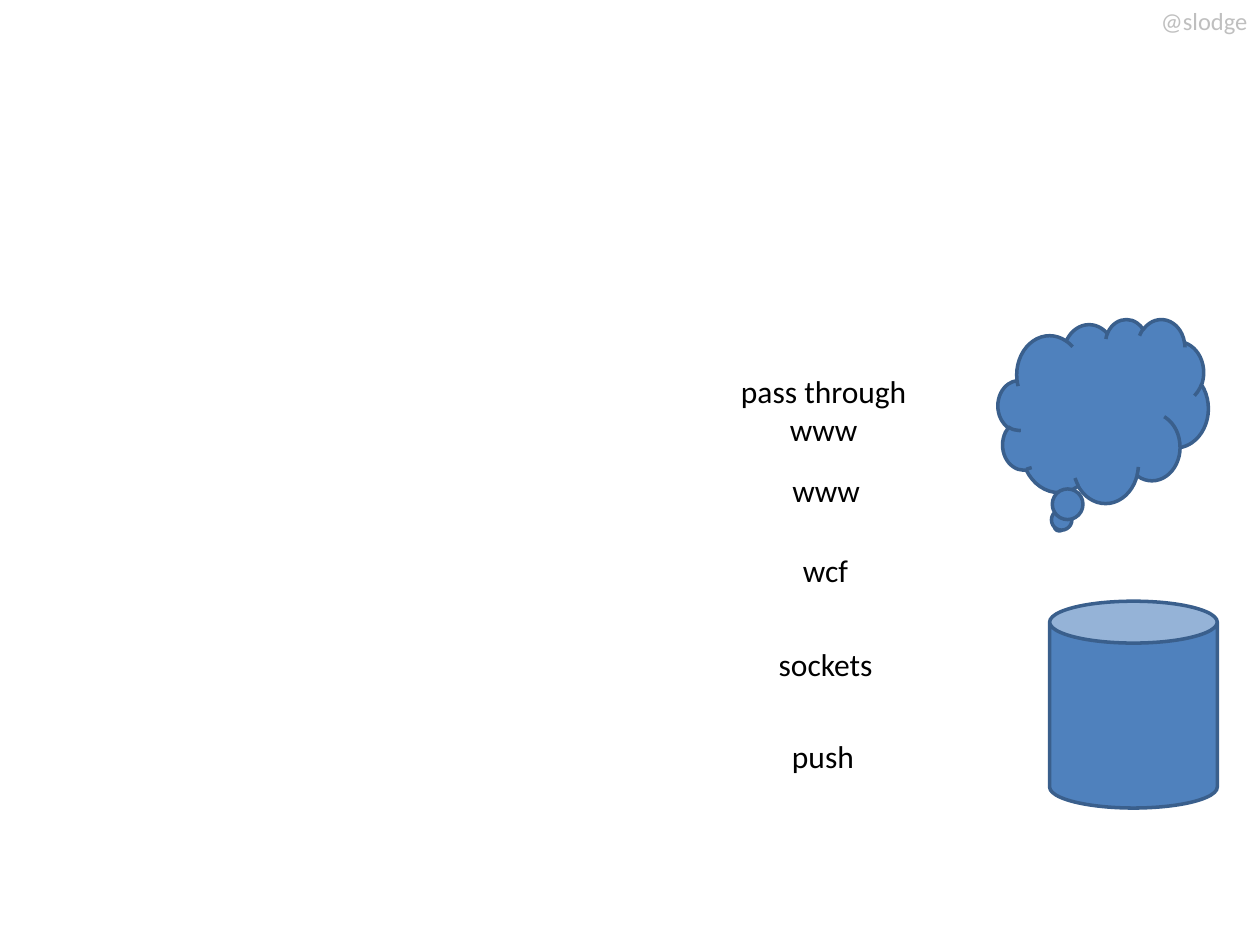
from dataclasses import dataclass

import pptx
import pptx.dml.color
import pptx.enum.shapes
import pptx.enum.text
import pptx.util
from pptx.util import Cm

ALIGN = pptx.enum.text.PP_ALIGN
ANCHOR = pptx.enum.text.MSO_ANCHOR
SHAPE = pptx.enum.shapes.MSO_SHAPE


@dataclass(frozen=True)
class Theme:
    font: str = "Calibri"
    text: str = "000000"
    muted: str = "BFBFBF"
    fill: str = "4F81BD"
    line: str = "3A5F8C"
    label_size: int = 18
    handle_size: int = 14
    line_width: int = 2


@dataclass(frozen=True)
class Box:
    """Position and size in centimetres."""
    left: float
    top: float
    width: float
    height: float

    def emu(self) -> tuple:
        return Cm(self.left), Cm(self.top), Cm(self.width), Cm(self.height)


@dataclass(frozen=True)
class Label:
    text: str
    box: Box
    size: int
    color: str
    align: ALIGN = ALIGN.CENTER
    anchor: ANCHOR = ANCHOR.MIDDLE


@dataclass(frozen=True)
class Symbol:
    kind: SHAPE
    box: Box


THEME = Theme()


def service(text: str, left: float, top: float, width: float,
            height: float = 1.02) -> Label:
    return Label(text, Box(left, top, width, height),
                 THEME.label_size, THEME.text)


HANDLE = Label("@slodge", Box(23.11, 0, 2.29, 0.86), THEME.handle_size,
               THEME.muted, ALIGN.RIGHT, ANCHOR.TOP)

SYMBOLS = [
    Symbol(SHAPE.CAN, Box(21.16, 12.12, 3.38, 4.17)),
    Symbol(SHAPE.CLOUD_CALLOUT, Box(20.12, 6.43, 4.24, 3.71)),
]

SERVICES = [
    service("www", 15.7, 9.37, 1.91),
    service("wcf", 15.93, 10.97, 1.42),
    service("sockets", 15.44, 12.88, 2.41),
    service("push", 15.7, 14.73, 1.78),
    service("pass through\nwww", 14.66, 7.37, 3.89, 1.8),
]


def rgb(color: str) -> pptx.dml.color.RGBColor:
    return pptx.dml.color.RGBColor.from_string(color)


def draw_label(s: pptx.slide.Slide, label: Label) -> None:
    tf = s.shapes.add_textbox(*label.box.emu()).text_frame
    tf.word_wrap = False
    tf.auto_size = pptx.enum.text.MSO_AUTO_SIZE.SHAPE_TO_FIT_TEXT
    tf.vertical_anchor = label.anchor
    tf.text = label.text
    for p in tf.paragraphs:
        p.alignment = label.align
        for r in p.runs:
            r.font.name = THEME.font
            r.font.size = pptx.util.Pt(label.size)
            r.font.color.rgb = rgb(label.color)


def draw_symbol(s: pptx.slide.Slide, symbol: Symbol) -> None:
    sp = s.shapes.add_shape(symbol.kind, *symbol.box.emu())
    sp.shadow.inherit = False
    sp.fill.solid()
    sp.fill.fore_color.rgb = rgb(THEME.fill)
    sp.line.color.rgb = rgb(THEME.line)
    sp.line.width = pptx.util.Pt(THEME.line_width)


def main() -> None:
    prs = pptx.Presentation()
    prs.slide_width, prs.slide_height = Cm(25.4), Cm(19.05)
    s = prs.slides.add_slide(prs.slide_layouts[6])  # blank: no title here

    # Author handle in the corner
    draw_label(s, HANDLE)

    # Database and cloud
    for symbol in SYMBOLS:
        draw_symbol(s, symbol)

    # Service names
    for label in SERVICES:
        draw_label(s, label)

    prs.save("out.pptx")


if __name__ == "__main__":
    main()
